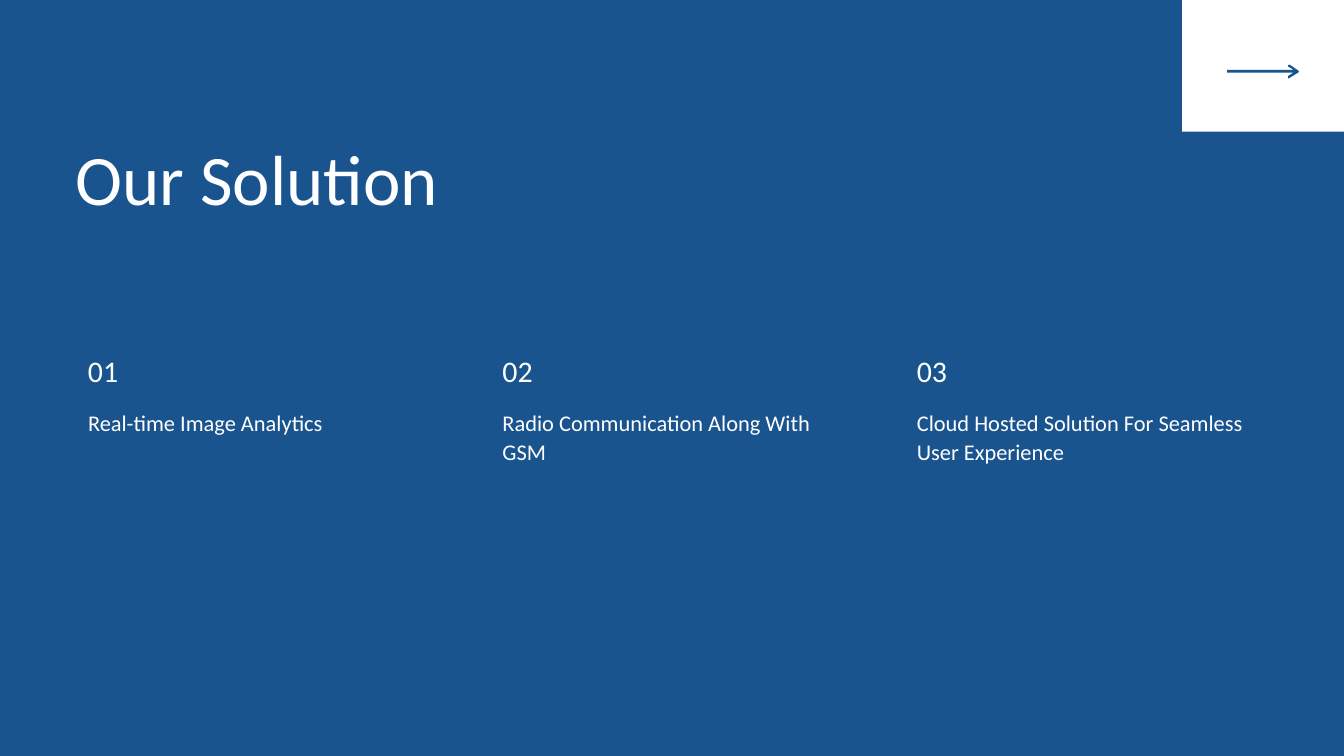
from pptx import Presentation
from pptx.dml.color import RGBColor
from pptx.enum.shapes import MSO_SHAPE
from pptx.enum.text import MSO_AUTO_SIZE
from pptx.util import Inches, Pt

BLUE = RGBColor(0x1A, 0x54, 0x8F)
WHITE = RGBColor(0xFF, 0xFF, 0xFF)
FONT = "Calibri"
LEADING = 1.3
SOLUTIONS = [
    "Real-time Image Analytics",
    "Radio Communication Along With GSM",
    "Cloud Hosted Solution For Seamless User Experience",
]
ARROW = [
    (1.06, 0.09), (0.93, 0), (0.91, 0.01), (0.91, 0.03), (0.99, 0.08),
    (0, 0.08), (0, 0.12), (0.99, 0.12), (0.91, 0.17), (0.91, 0.2),
    (0.92, 0.21), (0.93, 0.2), (1.06, 0.12), (1.07, 0.1),
]


def add_text(shapes, text, size, left, top, width, height):
    """Add a white text box with no margins and fixed leading."""
    tb = shapes.add_textbox(Inches(left), Inches(top), Inches(width), Inches(height))
    tf = tb.text_frame
    tf.word_wrap = True
    tf.auto_size = MSO_AUTO_SIZE.SHAPE_TO_FIT_TEXT
    tf.margin_left = tf.margin_top = tf.margin_right = tf.margin_bottom = 0
    tf.text = text
    p = tf.paragraphs[0]
    p.line_spacing = Pt(size * LEADING)
    font = p.runs[0].font
    font.name, font.size = FONT, Pt(size)
    font.color.rgb = WHITE


def fill_plain(sp, color):
    """Fill a shape with one colour, without line or shadow."""
    sp.shadow.inherit = False
    sp.fill.solid()
    sp.fill.fore_color.rgb = color
    sp.line.fill.background()


def add_arrow_corner(s, left, top, width, height):
    """Draw the white corner panel with its arrow."""
    panel = s.shapes.add_shape(
        MSO_SHAPE.RECTANGLE, Inches(left), Inches(top), Inches(width), Inches(height))
    fill_plain(panel, WHITE)
    points = [(Inches(left + 0.67 + x), Inches(top + 0.96 + y)) for x, y in ARROW]
    builder = s.shapes.build_freeform(*points[0])
    builder.add_line_segments(points[1:], close=True)
    fill_plain(builder.convert_to_shape(), BLUE)


def add_solution(s, number, text, left, top, width):
    """Place one numbered solution as a group."""
    shapes = s.shapes.add_group_shape().shapes
    height = 0.84 if len(text) > 30 else 0.4
    add_text(shapes, text, 24, left, top + 0.85, width, height)
    add_text(shapes, f"{number:02}", 32, left, top, 0.7, 0.55)


def add_solutions(s, left, top, width, columns_gap):
    """Lay the solutions out in equal columns."""
    count = len(SOLUTIONS)
    column = (width - columns_gap * (count - 1)) / count
    for i, text in enumerate(SOLUTIONS):
        add_solution(s, i + 1, text, left + i * (column + columns_gap), top, column)


def main():
    """Build the slide and save it."""
    prs = Presentation()
    prs.slide_width, prs.slide_height = Inches(20), Inches(11.25)
    s = prs.slides.add_slide(prs.slide_layouts[6])
    s.background.fill.solid()
    s.background.fill.fore_color.rgb = BLUE
    add_text(s.shapes, "Our Solution", 76, 1.12, 1.89, 13.75, 1.33)
    add_arrow_corner(s, 17.59, 0, 2.41, 1.96)
    add_solutions(s, 1.31, 5.21, 17.38, 1.12)
    prs.save("out.pptx")


if __name__ == "__main__":
    main()
